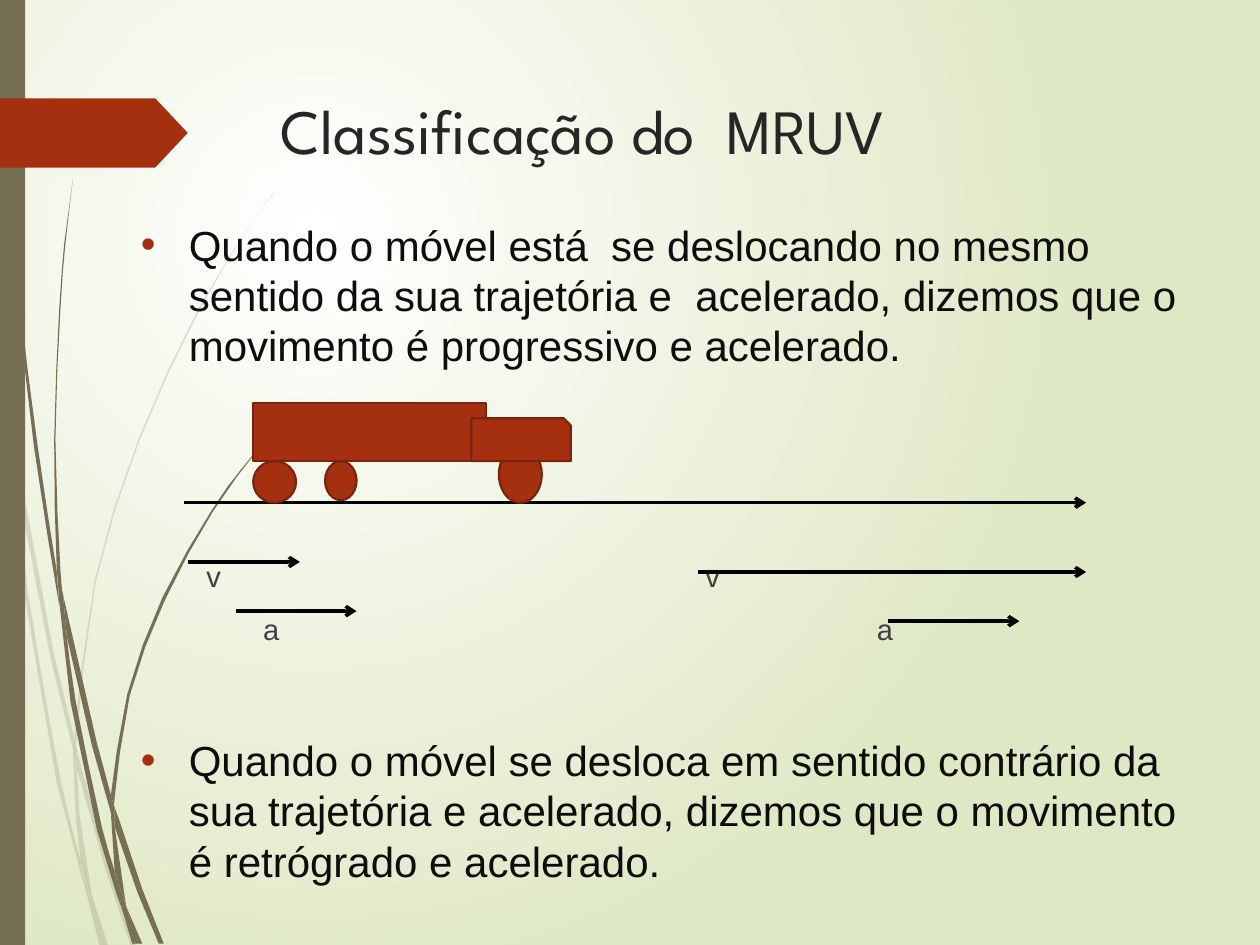
from lxml import etree
from pptx import Presentation
from pptx.dml.color import RGBColor
from pptx.enum.dml import MSO_THEME_COLOR
from pptx.enum.shapes import MSO_CONNECTOR, MSO_SHAPE
from pptx.enum.text import MSO_ANCHOR, PP_ALIGN
from pptx.oxml.ns import qn
from pptx.util import Inches, Pt

RECT, OVAL = MSO_SHAPE.RECTANGLE, MSO_SHAPE.OVAL
SNIP, TAG = MSO_SHAPE.SNIP_1_RECTANGLE, MSO_SHAPE.PENTAGON
STRAIGHT = MSO_CONNECTOR.STRAIGHT
TOP, LEFT = MSO_ANCHOR.TOP, PP_ALIGN.LEFT
THEME = {
    "glow": "FFFFFF", "ground": "DFE8C4", "stem": "766F54",
    "accent": "A53010", "edge": "7A240C", "axis": "000000",
    "title": "262626", "body": "0D0D0D", "label": "404040",
    "title_font": "League Spartan", "body_font": "Arial", "label_font": "Arial",
    "title_size": 36, "body_size": 24, "label_size": 16.6,
    "body_leading": 28.8, "label_leading": 20,
}


def paint(shape, fill, edge=None):
    shape.shadow.inherit = False
    shape.fill.solid()
    shape.fill.fore_color.rgb = RGBColor.from_string(THEME[fill])
    if edge:
        shape.line.color.rgb = RGBColor.from_string(THEME[edge])
        shape.line.width = Pt(1.25)
    else:
        shape.line.fill.background()


def smooth(anchors):
    if len(anchors) < 5:
        return anchors
    padded = [anchors[0], *anchors, anchors[-1]]
    curve = [anchors[0]]
    for a, b, c, d in zip(padded, padded[1:], padded[2:], padded[3:]):
        middle = tuple((9 * (q + r) - p - s) / 16 for p, q, r, s in zip(a, b, c, d))
        curve += [middle, c]
    return curve


prs = Presentation()
prs.slide_width, prs.slide_height = Inches(10), Inches(7.5)
slide = prs.slides.add_slide(prs.slide_layouts[5])
shapes = slide.shapes

backdrop = slide.background.fill
backdrop.gradient()
for stop, color, position in zip(backdrop.gradient_stops, ("glow", "ground"), (0, 1)):
    stop.color.theme_color = MSO_THEME_COLOR.ACCENT_1
    stop.color.rgb = RGBColor.from_string(THEME[color])
    stop.position = position
gradient = slide.background._cSld.find(".//" + qn("a:gradFill"))
gradient.remove(gradient.find(qn("a:lin")))
radial = etree.SubElement(gradient, qn("a:path"), path="circle")
etree.SubElement(radial, qn("a:fillToRect"), l="50000", t="50000", r="100000", b="100000")

pale_blades = [
    ([(0.08, 3.5), (0.06, 3.22), (0, 2.82)], [(0, 2.99), (0.07, 3.44)]),
    ([(0.1, 3.45), (0.43, 5.2), (0.59, 5.86)],
     [(0.59, 5.99), (0.4, 5.22), (0.12, 3.76)]),
    ([(0.61, 5.96), (0.64, 6.07), (0.88, 6.92), (1.08, 7.51)],
     [(1.04, 7.51), (0.85, 6.94), (0.61, 6.1)]),
    ([(0.73, 7.11), (0.86, 7.51)], [(0.83, 7.51)]),
    ([(0.08, 3.5), (0.12, 3.76), (0.22, 4.69), (0.48, 6.19), (0.64, 6.83), (0.7, 7.14)],
     [(0.64, 6.93), (0.45, 6.21), (0.19, 4.7)]),
    ([(0.58, 5.99), (0.61, 6.1), (0.63, 6.46), (0.73, 7.11)],
     [(0.64, 6.83), (0.6, 6.46)]),
    ([(0.61, 5.96), (0.61, 5.84), (0.76, 4.62), (1.11, 3.49), (1.59, 2.45),
      (2.01, 1.75), (2.17, 1.54)],
     [(2.17, 1.53), (2.01, 1.75), (1.58, 2.44), (1.1, 3.48), (0.75, 4.61),
      (0.59, 5.84)]),
    ([(0.7, 7.14), (0.82, 7.51)], [(0.79, 7.51)]),
    ([(0.59, 5.86), (0.61, 5.96), (0.61, 6.1)], [(0.61, 6.08), (0.58, 5.99)]),
    ([(0.65, 6.83), (0.73, 7.11), (0.83, 7.51)], [(0.82, 7.51), (0.7, 7.14)]),
]
dark_blades = [
    ([(0.02, 0), (0.05, 1.1), (0.14, 2.33), (0.27, 3.55), (0.47, 4.81)],
     [(0.45, 4.53), (0.3, 3.55), (0.15, 2.32), (0.06, 1.09), (0.03, 0)]),
    ([(0.5, 4.72), (0.77, 5.9), (0.88, 6.31)],
     [(0.88, 6.45), (0.73, 5.92), (0.53, 5.05)]),
    ([(0.91, 6.41), (0.94, 6.49), (1.13, 7.06), (1.3, 7.49)],
     [(1.26, 7.49), (1.09, 7.08), (0.91, 6.56)]),
    ([(0.47, 4.77), (0.53, 5.05), (0.6, 5.56), (0.81, 6.57), (0.91, 6.91), (0.97, 7.22)],
     [(0.92, 7.08), (0.77, 6.59), (0.56, 5.57)]),
    ([(0.5, 4.72), (0.48, 4.53), (0.44, 3.49), (0.48, 2.45), (0.52, 1.93), (0.58, 1.41)],
     [(0.51, 1.93), (0.47, 2.45), (0.43, 3.49), (0.45, 4.49), (0.49, 4.72)]),
    ([(1, 7.19), (1.13, 7.49)], [(1.1, 7.49)]),
    ([(0.45, 4.49), (0.5, 4.72), (0.53, 5.05)], [(0.47, 4.77)]),
    ([(0.91, 6.41), (0.91, 6.33), (1.03, 5.52), (1.31, 4.76), (1.69, 4.06),
      (2.03, 3.59), (2.16, 3.44)],
     [(2.15, 3.44), (1.91, 3.73), (1.68, 4.05), (1.29, 4.74), (1.01, 5.51),
      (0.88, 6.31)]),
    ([(0.97, 7.22), (1.08, 7.49)], [(1.05, 7.49)]),
    ([(0.88, 6.45), (0.91, 6.56), (1, 7.19)], [(0.91, 6.91)]),
    ([(0.88, 6.31), (0.91, 6.41), (0.91, 6.56)], [(0.88, 6.45)]),
    ([(0.91, 6.91), (1, 7.19), (1.1, 7.49)], [(1.08, 7.49), (0.97, 7.22)]),
]
for blades, alpha in ((pale_blades, "20000"), (dark_blades, "100000")):
    for outward, inward in blades:
        outline = [(Inches(x), Inches(y)) for x, y in smooth(outward) + smooth(inward)]
        builder = shapes.build_freeform(*outline[0], scale=1.0)
        builder.add_line_segments(outline[1:], close=True)
        blade = builder.convert_to_shape()
        paint(blade, "stem")
        tint = blade._element.spPr.find(qn("a:solidFill"))[0]
        etree.SubElement(tint, qn("a:alpha"), val=alpha)

for kind, box, color in ((RECT, (0, 0, 0.2, 7.5), "stem"),
                         (TAG, (0, 0.78, 1.49, 0.55), "accent")):
    ornament = shapes.add_shape(kind, *map(Inches, box))
    paint(ornament, color)
ornament.adjustments[0] = 0.47

heading = shapes.title
placement = {"left": 2.13, "top": 0.68, "width": 7.21, "height": 1.4}
for side, value in placement.items():
    setattr(heading, side, Inches(value))
heading.text_frame.text = "Classificação do  MRUV"

content = shapes.add_textbox(Inches(1.02), Inches(1.69), Inches(8.62), Inches(4.97))
content.text_frame.text = "\n".join([
    "Quando o móvel está  se deslocando no mesmo sentido da sua trajetória e  "
    "acelerado, dizemos que o movimento é progressivo e acelerado.",
    "\tv\tv",
    "\ta\ta",
    "Quando o móvel se desloca em sentido contrário da sua trajetória e "
    "acelerado, dizemos que o movimento é retrógrado e acelerado.",
])
for frame in (heading.text_frame, content.text_frame):
    frame.word_wrap = True
    frame.vertical_anchor = TOP

formats = [("title", 0, ()), ("body", 0, ()), ("label", 107.7, (0.52, 4.48)),
           ("label", 10, (0.97, 5.84)), ("body", 50.4, ())]
paragraphs = [*heading.text_frame.paragraphs, *content.text_frame.paragraphs]
for paragraph, (role, gap, stops) in zip(paragraphs, formats):
    paragraph.alignment = LEFT
    paragraph.space_before = Pt(gap)
    font = paragraph.runs[0].font
    font.name = THEME[role + "_font"]
    font.size = Pt(THEME[role + "_size"])
    font.color.rgb = RGBColor.from_string(THEME[role])
    if role != "title":
        paragraph.line_spacing = Pt(THEME[role + "_leading"])
    properties = paragraph._p.get_or_add_pPr()
    if role == "body":
        properties.set("marL", str(Inches(0.38)))
        properties.set("indent", str(-Inches(0.38)))
        bullet_color = etree.SubElement(properties, qn("a:buClr"))
        etree.SubElement(bullet_color, qn("a:srgbClr"), val=THEME["accent"])
        etree.SubElement(properties, qn("a:buFont"), typeface=THEME["body_font"])
        etree.SubElement(properties, qn("a:buChar"), char="•")
    if stops:
        tabs = etree.SubElement(properties, qn("a:tabLst"))
        for stop in stops:
            etree.SubElement(tabs, qn("a:tab"), pos=str(Inches(stop)), algn="l")

track = (1.46, 8.62, 3.99)
vectors = [(1.49, 2.38, 4.46), (1.87, 2.83, 4.85), (5.54, 8.62, 4.54), (7.05, 8.09, 4.93)]
truck = [
    (RECT, 2.01, 3.2, 1.85, 0.46),
    (OVAL, 2.01, 3.66, 0.34, 0.33),
    (OVAL, 3.96, 3.54, 0.34, 0.45),
    (SNIP, 3.74, 3.32, 0.79, 0.34),
    (OVAL, 2.58, 3.66, 0.25, 0.31),
]
for start, end, y in (track, *vectors):
    arrow = shapes.add_connector(STRAIGHT, Inches(start), Inches(y), Inches(end), Inches(y))
    arrow.line.color.rgb = RGBColor.from_string(THEME["axis"])
    arrow.line.width = Pt(2)
    etree.SubElement(arrow.line._get_or_add_ln(), qn("a:tailEnd"), type="arrow")
    etree.SubElement(arrow._element.spPr, qn("a:effectLst"))
for kind, *box in truck:
    paint(shapes.add_shape(kind, *map(Inches, box)), "accent", "edge")

prs.save("out.pptx")
